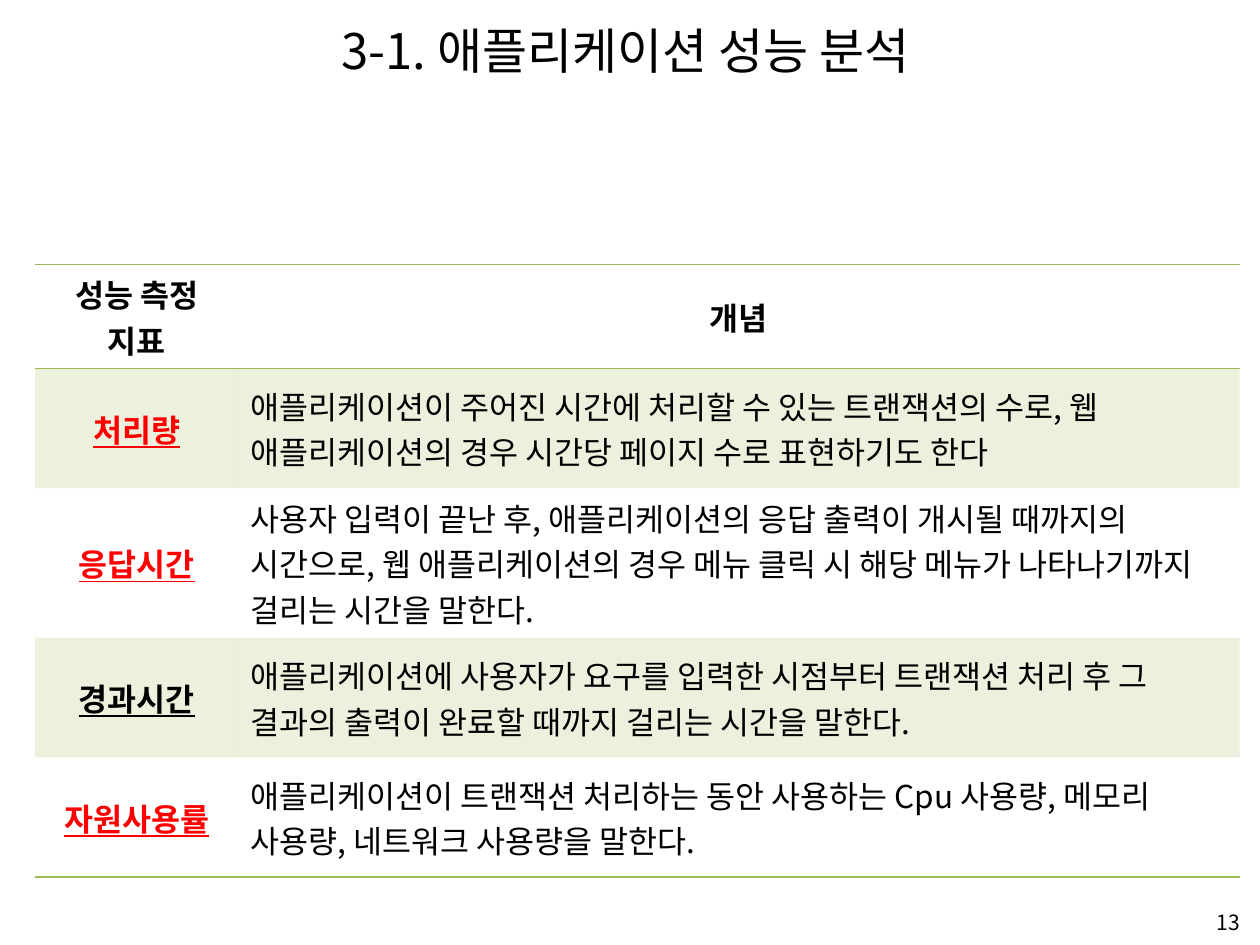
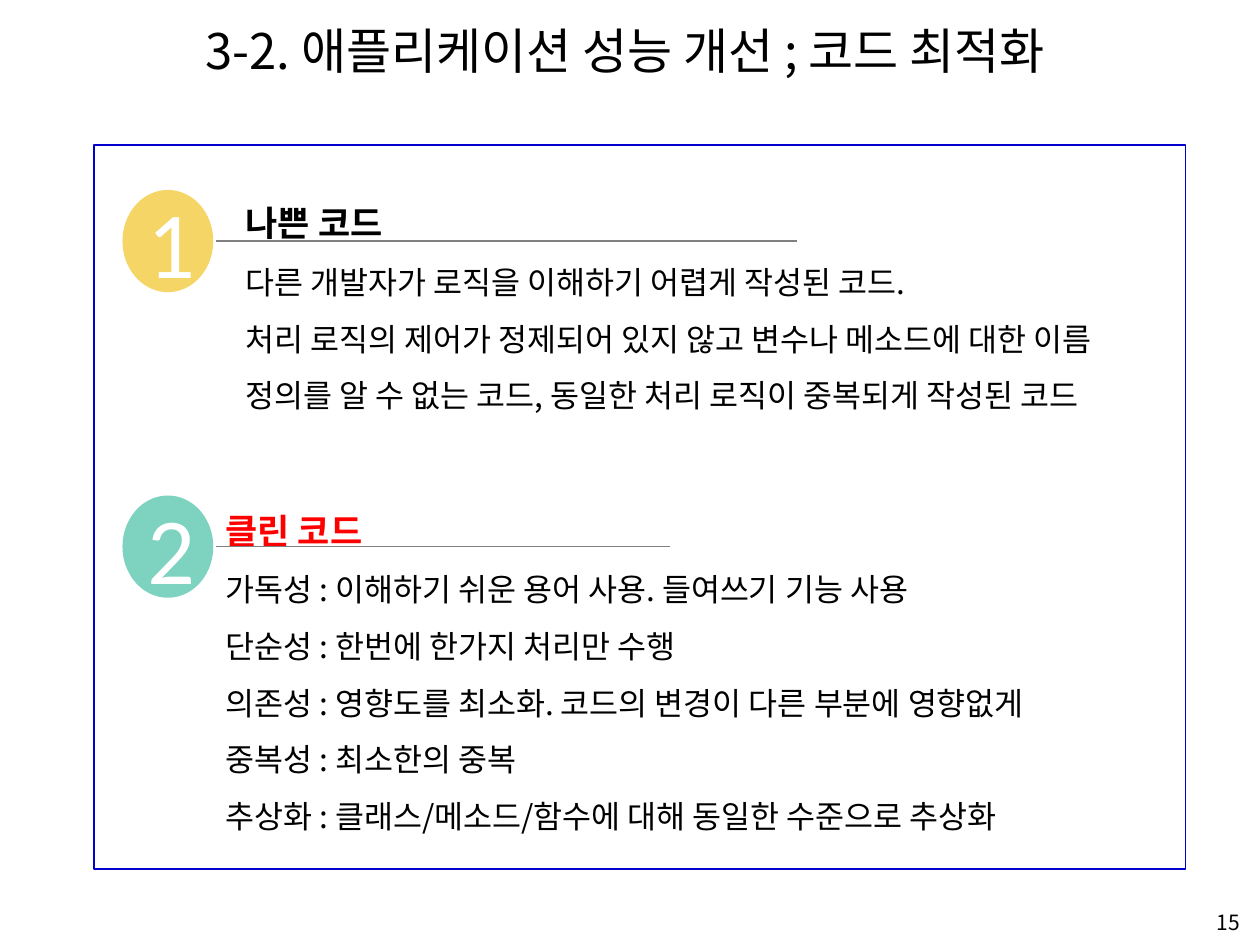
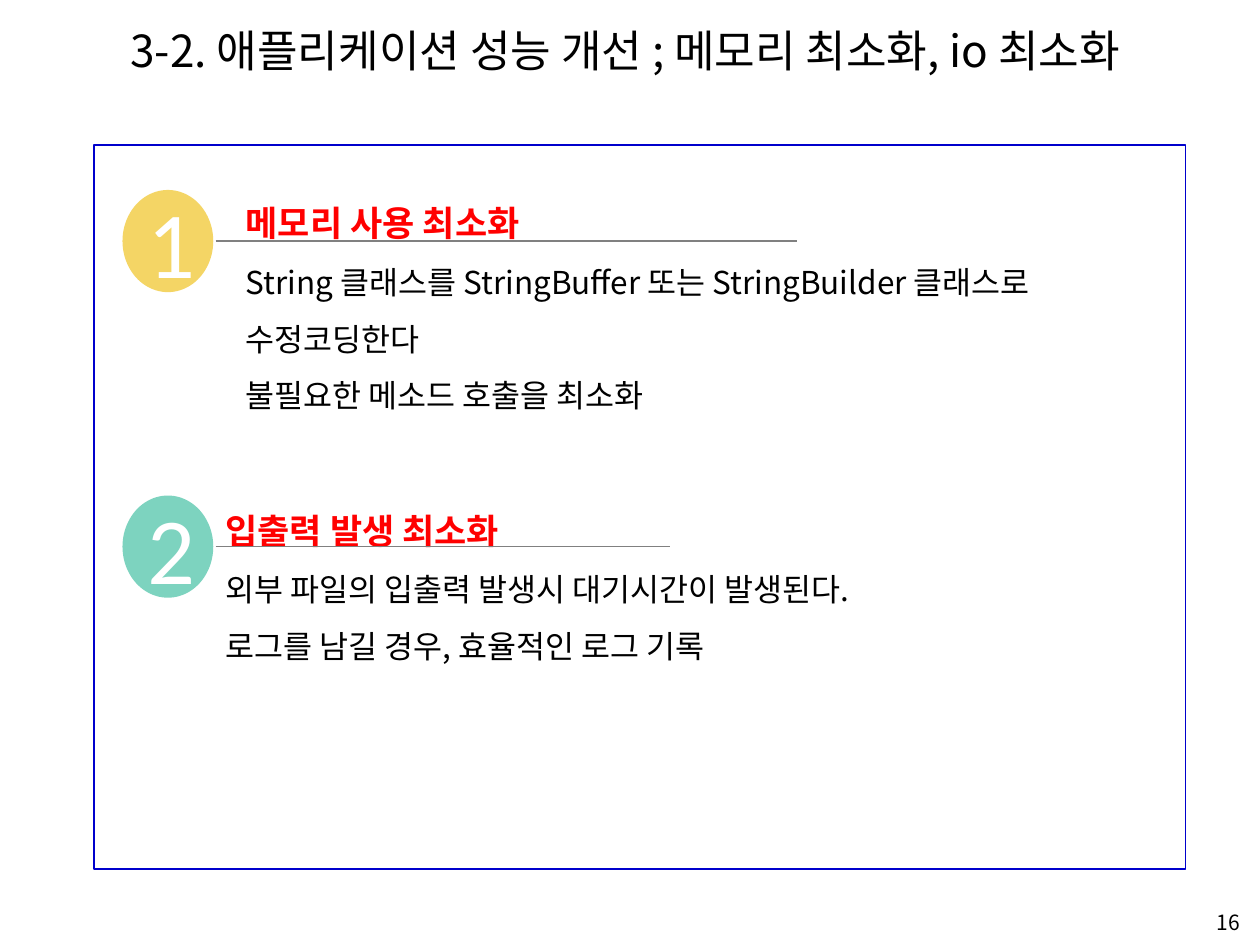
import lxml.etree
import pptx
import pptx.dml.color
import pptx.enum.shapes
import pptx.enum.text
import pptx.oxml.ns
import pptx.util

Cm = pptx.util.Cm
Pt = pptx.util.Pt
qn = pptx.oxml.ns.qn
ALIGN = pptx.enum.text.PP_ALIGN
MIDDLE = pptx.enum.text.MSO_ANCHOR.MIDDLE
SHAPES = pptx.enum.shapes.MSO_SHAPE

COLORS = {
    "text": "000000", "white": "FFFFFF", "key": "FF0000", "table": "9BBB59",
    "frame": "0000CC", "rule": "808080", "yellow": "F0C424", "green": "46C1A4",
}
KOREAN = "Noto Sans CJK KR"
NUMERAL = "Calibri"

TITLE_BOX = (0.3, 0.13, 24.61, 1.75)
NUMBER_BOX = (19.33, 18.27, 5.92, 0.64)
FRAME_BOX = (1.9, 2.92, 22, 14.6)
BADGE_LEFT, BADGE_WIDTH, BADGE_HEIGHT = 2.47, 1.83, 2.06
RULE_LEFT = 4.35
TABLE_LEFT, TABLE_TOP = 0.71, 5.33
COLUMN_WIDTHS = (4.09, 20.19)
ROW_HEIGHTS = (2.1, 2.41, 3.02, 2.41, 2.41)

SECTIONS = [
    {"badge_top": 3.83, "color": "yellow", "rule_right": 16.06, "text": (4.7, 3.52, 18.24)},
    {"badge_top": 9.99, "color": "green", "rule_right": 13.51, "text": (4.29, 9.72, 19.41)},
]

METRICS_TITLE = "3-1. 애플리케이션 성능 분석"
METRICS_HEADER = ("성능 측정 지표", "개념")
METRICS = [
    ("처리량", "key", "애플리케이션이 주어진 시간에 처리할 수 있는 트랜잭션의 수로, 웹 애플리케이션의 경우 시간당 페이지 수로 표현하기도 한다"),
    ("응답시간", "key", "사용자 입력이 끝난 후, 애플리케이션의 응답 출력이 개시될 때까지의 시간으로, 웹 애플리케이션의 경우 메뉴 클릭 시 해당 메뉴가 나타나기까지 걸리는 시간을 말한다."),
    ("경과시간", "text", "애플리케이션에 사용자가 요구를 입력한 시점부터 트랜잭션 처리 후 그 결과의 출력이 완료할 때까지 걸리는 시간을 말한다."),
    ("자원사용률", "key", "애플리케이션이 트랜잭션 처리하는 동안 사용하는 Cpu 사용량, 메모리 사용량, 네트워크 사용량을 말한다."),
]

IMPROVEMENTS = [
    {
        "title": "3-2. 애플리케이션 성능 개선 ; 코드 최적화", "size": 28, "number": "15",
        "sections": [
            ("나쁜 코드", "text", 6.15, [
                "다른 개발자가 로직을 이해하기 어렵게 작성된 코드.",
                "처리 로직의 제어가 정제되어 있지 않고 변수나 메소드에 대한 이름 정의를 알 수 없는 코드, 동일한 처리 로직이 중복되게 작성된 코드",
            ]),
            ("클린 코드", "key", 7.32, [
                "가독성 : 이해하기 쉬운 용어 사용. 들여쓰기 기능 사용",
                "단순성 : 한번에 한가지 처리만 수행",
                "의존성 : 영향도를 최소화. 코드의 변경이 다른 부분에 영향없게",
                "중복성 : 최소한의 중복",
                "추상화 : 클래스/메소드/함수에 대해 동일한 수준으로 추상화",
            ]),
        ],
    },
    {
        "title": "3-2. 애플리케이션 성능 개선 ; 메모리 최소화, io 최소화", "size": 25.2, "number": "16",
        "sections": [
            ("메모리 사용 최소화", "key", 5, [
                "String 클래스를 StringBuffer 또는 StringBuilder 클래스로 수정코딩한다",
                "불필요한 메소드 호출을 최소화",
            ]),
            ("입출력 발생 최소화", "key", 3.84, [
                "외부 파일의 입출력 발생시 대기시간이 발생된다.",
                "로그를 남길 경우, 효율적인 로그 기록",
            ]),
        ],
    },
]


def rgb(name):
    return pptx.dml.color.RGBColor.from_string(COLORS[name])


def lengths(values):
    return [Cm(value) for value in values]


def place(shape, box):
    shape.left, shape.top, shape.width, shape.height = lengths(box)


def write(paragraph, text, size, color="text", align=ALIGN.LEFT, bold=False, underline=False, font=KOREAN):
    paragraph.alignment = align
    run = paragraph.add_run()
    run.text = text
    run.font.size = Pt(size)
    run.font.bold = bold
    run.font.underline = underline
    run.font.color.rgb = rgb(color)
    run.font.name = font


def fill_translucent(fill, element, color, percent):
    fill.solid()
    fill.fore_color.rgb = rgb(color)
    color_element = next(element.iter(qn("a:srgbClr")))
    lxml.etree.SubElement(color_element, qn("a:alpha"), val=str(percent * 1000))


def add_slide(presentation, layout, title, size, number):
    slide = presentation.slides.add_slide(presentation.slide_layouts.get_by_name(layout))
    heading = slide.shapes.title
    place(heading, TITLE_BOX)
    heading.text_frame.vertical_anchor = MIDDLE
    heading.text_frame.auto_size = pptx.enum.text.MSO_AUTO_SIZE.NONE
    write(heading.text_frame.paragraphs[0], title, size, align=ALIGN.CENTER)
    page = slide.shapes.add_textbox(*lengths(NUMBER_BOX)).text_frame
    page.word_wrap = True
    page.vertical_anchor = MIDDLE
    write(page.paragraphs[0], number, 12, align=ALIGN.RIGHT)
    return slide


def add_border(cell, side):
    line = lxml.etree.Element(qn(side), w=str(Pt(1)))
    fill = lxml.etree.SubElement(line, qn("a:solidFill"))
    lxml.etree.SubElement(fill, qn("a:srgbClr"), val=COLORS["table"])
    cell._tc.get_or_add_tcPr().insert(0, line)


def add_metrics_table(slide):
    row_count = len(ROW_HEIGHTS)
    frame = slide.shapes.add_table(
        row_count, 2, *lengths((TABLE_LEFT, TABLE_TOP, sum(COLUMN_WIDTHS), sum(ROW_HEIGHTS))))
    table = frame.table
    table.first_row = table.horz_banding = False
    table._tbl.tblPr.find(qn("a:tableStyleId")).text = "{2D5ABB26-0587-4C30-8999-92F81FD0307C}"
    for column, width in zip(table.columns, COLUMN_WIDTHS):
        column.width = Cm(width)
    for index, (row, height) in enumerate(zip(table.rows, ROW_HEIGHTS)):
        row.height = Cm(height)
        for cell in row.cells:
            cell.vertical_anchor = MIDDLE
            if index % 2:
                fill_translucent(cell.fill, cell._tc.tcPr, "table", 20)
            else:
                cell.fill.background()
            if index in (0, row_count - 1):
                add_border(cell, "a:lnB")
            if index == 0:
                add_border(cell, "a:lnT")
    for column, label in enumerate(METRICS_HEADER):
        write(table.cell(0, column).text_frame.paragraphs[0], label, 18, align=ALIGN.CENTER, bold=True)
    for index, (metric, color, concept) in enumerate(METRICS, 1):
        write(table.cell(index, 0).text_frame.paragraphs[0], metric, 18, color, ALIGN.CENTER, True, True)
        write(table.cell(index, 1).text_frame.paragraphs[0], concept, 18)


def add_badge(slide, number, section):
    badge = slide.shapes.add_shape(
        SHAPES.OVAL, *lengths((BADGE_LEFT, section["badge_top"], BADGE_WIDTH, BADGE_HEIGHT)))
    badge.shadow.inherit = False
    fill_translucent(badge.fill, badge._element, section["color"], 70)
    badge.line.fill.background()
    frame = badge.text_frame
    frame.vertical_anchor = MIDDLE
    frame.margin_left, frame.margin_top, frame.margin_right, frame.margin_bottom = lengths((0.13, 0, 0, 0))
    write(frame.paragraphs[0], str(number), 54, "white", ALIGN.CENTER, font=NUMERAL)


def add_rule(slide, section):
    middle = section["badge_top"] + BADGE_HEIGHT / 2
    rule = slide.shapes.add_connector(
        pptx.enum.shapes.MSO_CONNECTOR.STRAIGHT,
        *lengths((RULE_LEFT, middle, section["rule_right"], middle)))
    rule.line.color.rgb = rgb("rule")
    rule.line.width = Pt(0.75)
    lxml.etree.SubElement(rule._element.spPr, qn("a:effectLst"))


def write_section(body, box, heading, color, lines):
    place(body, box)
    frame = body.text_frame
    frame.auto_size = pptx.enum.text.MSO_AUTO_SIZE.SHAPE_TO_FIT_TEXT
    entries = [(heading, 20, color, True)] + [(line, 18, "text", False) for line in lines]
    for index, (text, size, text_color, bold) in enumerate(entries):
        paragraph = frame.add_paragraph() if index else frame.paragraphs[0]
        paragraph.line_spacing = 1.5
        paragraph.space_before = Pt(0)
        write(paragraph, text, size, text_color, bold=bold)
        properties = paragraph._p.get_or_add_pPr()
        properties.set("marL", "0")
        properties.set("indent", "0")
        lxml.etree.SubElement(properties, qn("a:buNone"))


def add_improvement_slide(presentation, content):
    slide = add_slide(presentation, "Two Content", content["title"], content["size"], content["number"])
    frame = slide.shapes.add_shape(SHAPES.RECTANGLE, *lengths(FRAME_BOX))
    frame.shadow.inherit = False
    frame.fill.background()
    frame.line.color.rgb = rgb("frame")
    frame.line.width = Pt(1)
    for number, (section, (heading, color, height, lines)) in enumerate(zip(SECTIONS, content["sections"]), 1):
        add_badge(slide, number, section)
        add_rule(slide, section)
        write_section(slide.placeholders[number], (*section["text"], height), heading, color, lines)


def main():
    presentation = pptx.Presentation()
    presentation.slide_width, presentation.slide_height = lengths((25.4, 19.05))
    add_metrics_table(add_slide(presentation, "Title Only", METRICS_TITLE, 28, "13"))
    for content in IMPROVEMENTS:
        add_improvement_slide(presentation, content)
    presentation.save("out.pptx")


if __name__ == "__main__":
    main()
